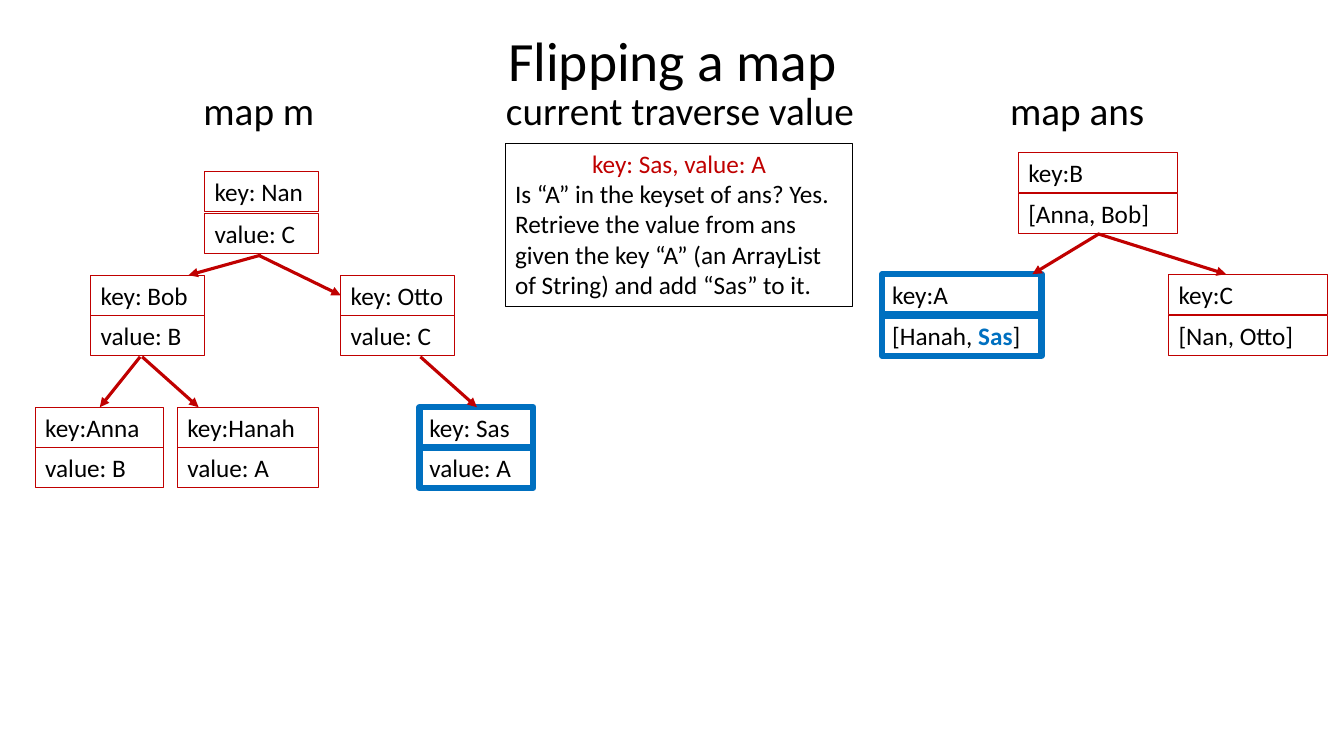
from dataclasses import dataclass

from lxml import etree
from pptx import Presentation
from pptx.dml.color import RGBColor
from pptx.enum.shapes import MSO_CONNECTOR
from pptx.enum.text import MSO_ANCHOR, MSO_AUTO_SIZE, PP_ALIGN
from pptx.oxml.ns import qn
from pptx.util import Inches, Pt

STRAIGHT = MSO_CONNECTOR.STRAIGHT
MIDDLE, TOP = MSO_ANCHOR.MIDDLE, MSO_ANCHOR.TOP
LEFT, CENTER = PP_ALIGN.LEFT, PP_ALIGN.CENTER
FIT_SHAPE, NO_FIT = MSO_AUTO_SIZE.SHAPE_TO_FIT_TEXT, MSO_AUTO_SIZE.NONE
TITLE_ONLY = 5


@dataclass(frozen=True)
class Theme:
    font: str = "Calibri"
    black: RGBColor = RGBColor(0x00, 0x00, 0x00)
    red: RGBColor = RGBColor(0xC0, 0x00, 0x00)
    blue: RGBColor = RGBColor(0x00, 0x70, 0xC0)
    title_size: float = 39.6
    heading_size: float = 28
    text_size: float = 18
    thin: float = 0.75
    arrow: float = 2.25
    thick: float = 4.5


THEME = Theme()
ROW_HEIGHT = 0.4

# Nodes: left, top, width, row pitch, key, value, highlighted
MAP_M = [
    (2.03, 1.70, 1.13, 0.42, "key: Nan", "value: C", False),
    (0.90, 2.73, 1.13, 0.4, "key: Bob", "value: B", False),
    (3.38, 2.73, 1.13, 0.4, "key: Otto", "value: C", False),
    (0.35, 4.04, 1.27, 0.4, "key:Anna", "value: B", False),
    (1.76, 4.04, 1.40, 0.4, "key:Hanah", "value: A", False),
    (4.16, 4.04, 1.13, 0.4, "key: Sas", "value: A", True),
]
MAP_ANS = [
    (10.10, 1.51, 1.58, 0.41, "key:B", "[Anna, Bob]", False),
    (8.75, 2.72, 1.58, 0.41, "key:A", ("[Hanah, ", "*Sas", "]"), True),
    (11.59, 2.72, 1.58, 0.41, "key:C", "[Nan, Otto]", False),
]

# Arrows: start x, start y, end x, end y
ARROWS = [
    (2.59, 2.53, 1.87, 2.73),
    (2.56, 2.53, 3.38, 2.93),
    (1.39, 3.54, 0.99, 4.04),
    (1.41, 3.54, 1.97, 4.04),
    (4.17, 3.54, 4.73, 4.04),
    (10.9, 2.32, 10.24, 2.72),
    (10.89, 2.32, 12.16, 2.72),
]

HEADINGS = ["map m", "current traverse value", "map ans"]
HEADING_STOPS = [1, 4, 9]
STEP_LINES = [
    "Is “A” in the keyset of ans? Yes.",
    "Retrieve the value from ans given the key “A” "
    "(an ArrayList of String) and add “Sas” to it.",
]


def apply_format(target, values):
    for name, value in values.items():
        setattr(target, name, value)


def add_span(para, text, size=THEME.text_size, color=THEME.black, bold=False):
    span = para.add_run()
    span.text = text
    apply_format(span.font, {"name": THEME.font, "size": Pt(size), "bold": bold})
    span.font.color.rgb = color


def add_box(page, left, top, width, height, frame_format):
    box = page.shapes.add_textbox(*map(Inches, (left, top, width, height)))
    apply_format(box.text_frame, {"word_wrap": True, **frame_format})
    return box


def outline(box, color, weight):
    box.line.color.rgb = color
    box.line.width = Pt(weight)


def add_title(page, text):
    title = page.shapes.title
    apply_format(title, {"left": Inches(0.92), "top": Inches(0.4),
                         "width": Inches(11.5), "height": Inches(0.46)})
    apply_format(title.text_frame, {"vertical_anchor": MIDDLE, "auto_size": NO_FIT})
    para = title.text_frame.paragraphs[0]
    apply_format(para, {"alignment": CENTER, "line_spacing": 0.9})
    add_span(para, text, THEME.title_size)


def add_headings(page):
    box = add_box(page, 0.92, 0.86, 11.5, 0.56,
                  {"vertical_anchor": TOP, "auto_size": NO_FIT})
    para = box.text_frame.paragraphs[0]
    apply_format(para, {"alignment": LEFT, "line_spacing": 0.9})
    # Each heading starts at its own tab stop
    stops = etree.SubElement(para._p.get_or_add_pPr(), qn("a:tabLst"))
    for stop in HEADING_STOPS:
        etree.SubElement(stops, qn("a:tab"), pos=str(Inches(stop)), algn="l")
    add_span(para, "".join("\t" + heading for heading in HEADINGS),
             THEME.heading_size)


def add_node(page, left, top, width, pitch, key, value, highlighted):
    color = THEME.blue if highlighted else THEME.red
    weight = THEME.thick if highlighted else THEME.thin
    for row, content in enumerate((key, value)):
        box = add_box(page, left, top + row * pitch, width, ROW_HEIGHT,
                      {"auto_size": FIT_SHAPE, "margin_right": 0})
        outline(box, color, weight)
        para = box.text_frame.paragraphs[0]
        # A leading star marks the newly added name
        for part in [content] if isinstance(content, str) else content:
            added = part.startswith("*")
            add_span(para, part.lstrip("*"), bold=added,
                     color=THEME.blue if added else THEME.black)


def add_step(page):
    box = add_box(page, 5.01, 1.42, 3.45, 1.62, {"auto_size": FIT_SHAPE})
    outline(box, THEME.black, THEME.thin)
    current = box.text_frame.paragraphs[0]
    current.alignment = CENTER
    add_span(current, "key: Sas, value: A", color=THEME.red)
    for line in STEP_LINES:
        add_span(box.text_frame.add_paragraph(), line)


def add_arrow(page, *ends):
    arrow = page.shapes.add_connector(STRAIGHT, *map(Inches, ends))
    outline(arrow, THEME.red, THEME.arrow)
    etree.SubElement(arrow.line._get_or_add_ln(), qn("a:tailEnd"), type="triangle")
    etree.SubElement(arrow._element.spPr, qn("a:effectLst"))


def main():
    deck = Presentation()
    apply_format(deck, {"slide_width": Inches(13.33), "slide_height": Inches(7.5)})
    page = deck.slides.add_slide(deck.slide_layouts[TITLE_ONLY])

    # Title and column headings
    add_title(page, "Flipping a map")
    add_headings(page)

    # Both trees and the current step
    for node in MAP_M + MAP_ANS:
        add_node(page, *node)
    add_step(page)
    for ends in ARROWS:
        add_arrow(page, *ends)

    deck.save("out.pptx")


if __name__ == "__main__":
    main()
